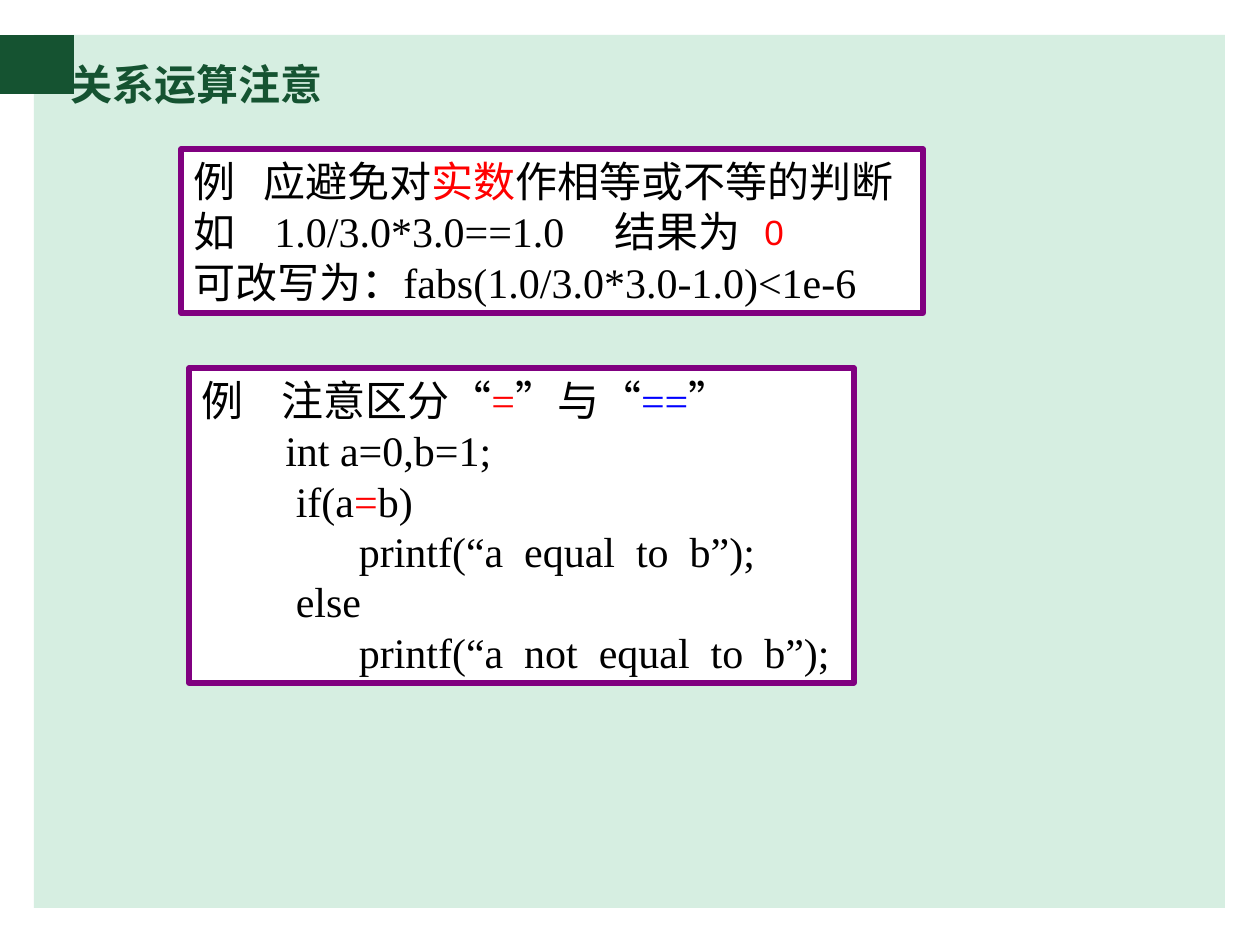
from pptx import Presentation
from pptx.dml.color import RGBColor
from pptx.enum.shapes import MSO_SHAPE
from pptx.enum.text import MSO_ANCHOR, MSO_AUTO_SIZE, PP_ALIGN
from pptx.util import Emu, Pt
from lxml.etree import SubElement
from pptx.oxml.ns import qn

SCALE = 914400 // 126
GREEN, MINT, PURPLE = "155331", "D6EEE1", "800080"
BLACK, WHITE, RED, BLUE = "000000", "FFFFFF", "FF0000", "0000FF"


def px(n):
    return Emu(n * SCALE)


def color(text):
    return RGBColor.from_string(text)


class Deck:
    font = "Times New Roman"
    size = 24

    def __init__(self):
        self.deck = Presentation()
        self.deck.slide_width = px(1260)
        self.deck.slide_height = px(945)
        self.slide = self.deck.slides.add_slide(self.deck.slide_layouts[6])

    def rect(self, at, fill, line=None):
        shape = self.slide.shapes.add_shape(MSO_SHAPE.RECTANGLE, *map(px, at))
        shape.shadow.inherit = False
        shape.fill.solid()
        shape.fill.fore_color.rgb = color(fill)
        if line:
            shape.line.color.rgb = color(line)
            shape.line.width = Pt(3)
        else:
            shape.line.fill.background()
        return shape

    def style(self, run, tint, font=None, size=None, bold=False):
        run.font.name = font or self.font
        run.font.size = Pt(size or self.size)
        run.font.bold = bold
        run.font.color.rgb = color(tint)

    def tabs(self, para, stops):
        group = SubElement(para._p.get_or_add_pPr(), qn("a:tabLst"))
        for stop in stops:
            SubElement(group, qn("a:tab"), pos=str(px(stop)), algn="l")

    def panel(self, at, lines, stops):
        frame = self.rect(at, WHITE, PURPLE).text_frame
        frame.word_wrap = True
        frame.auto_size = MSO_AUTO_SIZE.SHAPE_TO_FIT_TEXT
        frame.vertical_anchor = MSO_ANCHOR.MIDDLE
        for i, line in enumerate(lines):
            para = frame.add_paragraph() if i else frame.paragraphs[0]
            para.alignment = PP_ALIGN.LEFT
            if "\t" in line[0][0]:
                self.tabs(para, stops[i])
            for text, tint in line:
                run = para.add_run()
                run.text = text
                self.style(run, tint)

    def label(self, at, text, tint, wrap=True, **look):
        frame = self.slide.shapes.add_textbox(*map(px, at)).text_frame
        frame.word_wrap = wrap
        frame.vertical_anchor = MSO_ANCHOR.MIDDLE if wrap else MSO_ANCHOR.TOP
        frame.text = text
        self.style(frame.paragraphs[0].runs[0], tint, **look)

    def save(self):
        self.deck.save("out.pptx")


def main():
    deck = Deck()
    deck.rect((34, 35, 1191, 873), MINT)
    deck.rect((0, 35, 74, 59), GREEN)
    deck.panel((189, 368, 665, 315), [
        [("例\t注意区分“", BLACK), ("=", RED), ("”与“", BLACK),
         ("==", BLUE), ("”", BLACK)],
        [("        int a=0,b=1;", BLACK)],
        [("         if(a", BLACK), ("=", RED), ("b)", BLACK)],
        [("               printf(“a  equal  to  b”);", BLACK)],
        [("         else", BLACK)],
        [("               printf(“a  not  equal  to  b”);", BLACK)],
    ], {0: [80]})
    deck.panel((181, 149, 742, 164), [
        [("例\t应避免对", BLACK), ("实数", RED),
         ("作相等或不等的判断", BLACK)],
        [("如\t1.0/3.0*3.0==1.0\t结果为", BLACK)],
        [("可改写为：fabs(1.0/3.0*3.0-1.0)<1e-6", BLACK)],
    ], {0: [70], 1: [81, 421]})
    deck.label((752, 204, 44, 55), "0", RED, wrap=False, font="Arial", size=20)
    deck.label((58, 45, 575, 77), "关系运算注意", GREEN, bold=True)
    deck.save()


if __name__ == "__main__":
    main()
